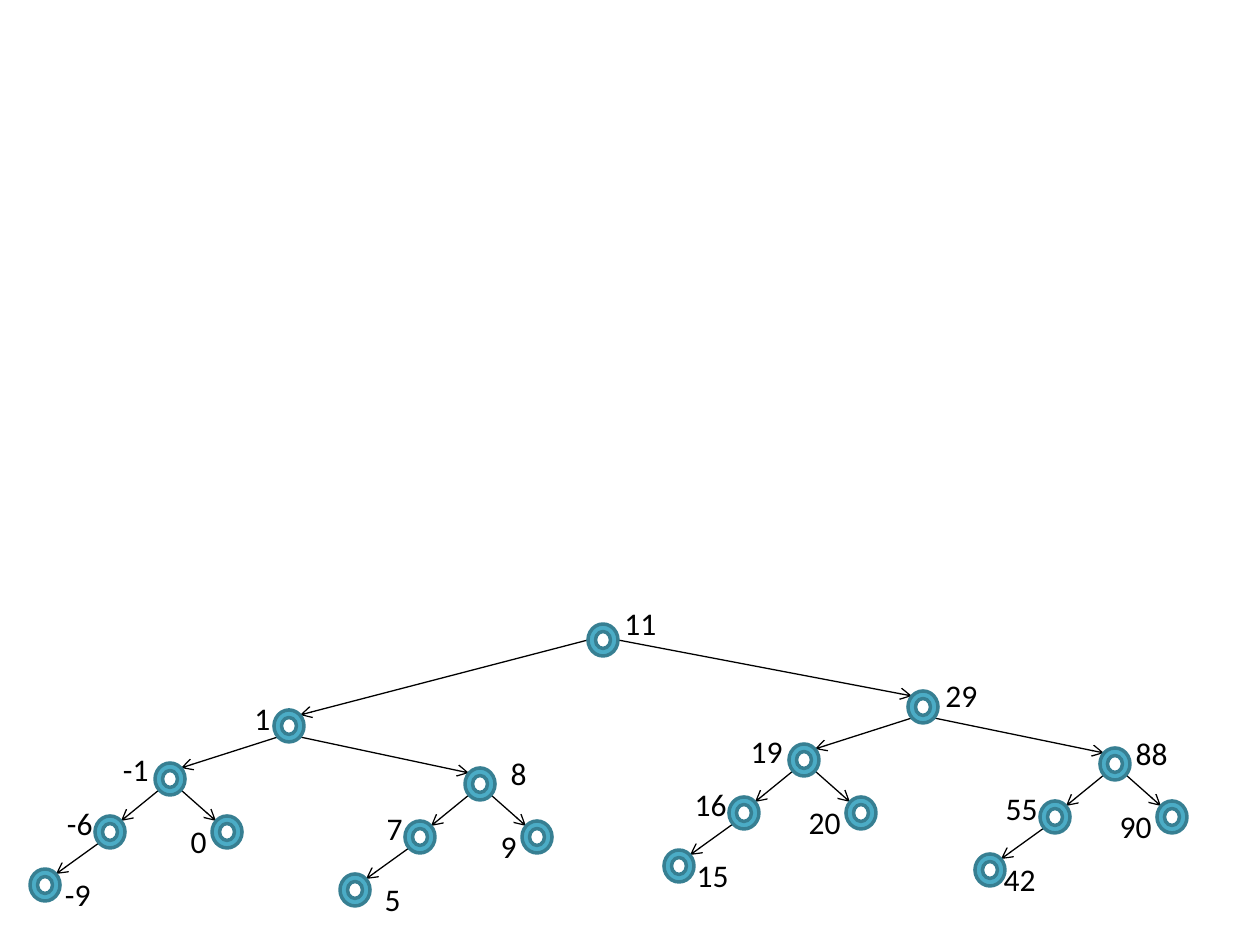
import pptx
import pptx.util
import pptx.dml.color
import pptx.enum.shapes
import pptx.enum.text
import pptx.oxml
import pptx.oxml.ns

PIXEL = 914400 // 126
NODE_W, NODE_H = 30, 32
LABEL_H = 50
RIM = 11  # diagonal attachment point on a node's rim
LEFT = pptx.enum.text.PP_ALIGN.LEFT
RIGHT = pptx.enum.text.PP_ALIGN.RIGHT

# Centre of each subtree's top node, its label's right edge and top relative
# to that centre, then the values: top, left, right, left of left.
SUBTREES = [
    ((170, 779), (-9, -35), ("-1", "-6", "0", "-9")),
    ((480, 784), (59, -36), ("8", "7", "9", "5")),
    ((804, 760), (-9, -34), ("19", "16", "20", "15")),
    ((1115, 764), (65, -36), ("88", "55", "90", "42")),
]


def px(length):
    """Turn picture pixels into EMU."""
    return pptx.util.Emu(length * PIXEL)


def color(hex_value):
    """Turn a hex string into a colour."""
    return pptx.dml.color.RGBColor.from_string(hex_value)


def add_node(shapes, center, value, label_offset, align=RIGHT):
    """Draw a ring and the label with its value."""
    x, y = center
    ring = shapes.add_shape(
        pptx.enum.shapes.MSO_SHAPE.DONUT,
        px(x - NODE_W // 2), px(y - NODE_H // 2), px(NODE_W), px(NODE_H))
    ring.shadow.inherit = False
    ring.fill.solid()
    ring.fill.fore_color.rgb = color("4BACC6")
    ring.line.color.rgb = color("377F92")
    ring.line.width = pptx.util.Pt(2)

    width = 52 if value.startswith("-") else 26 + 16 * len(value)
    right, top = label_offset
    label = shapes.add_textbox(
        px(x + right - width), px(y + top), px(width), px(LABEL_H))
    frame = label.text_frame
    frame.word_wrap = False
    frame.auto_size = pptx.enum.text.MSO_AUTO_SIZE.SHAPE_TO_FIT_TEXT
    paragraph = frame.paragraphs[0]
    paragraph.text = value
    paragraph.alignment = align
    paragraph.font.name = "Calibri"
    paragraph.font.size = pptx.util.Pt(18)
    paragraph.font.color.rgb = color("000000")


def add_edge(shapes, parent, child, start=(RIM, RIM)):
    """Draw an arrow from the parent's rim to the child's rim."""
    side = 1 if child[0] > parent[0] else -1
    edge = shapes.add_connector(
        pptx.enum.shapes.MSO_CONNECTOR.STRAIGHT,
        px(parent[0] + side * start[0]), px(parent[1] + start[1]),
        px(child[0] - side * RIM), px(child[1] - RIM))
    edge.line.color.rgb = color("000000")
    edge.line.width = pptx.util.Pt(0.75)
    arrowhead = pptx.oxml.parse_xml(
        '<a:tailEnd %s type="arrow"/>' % pptx.oxml.ns.nsdecls("a"))
    edge.line._get_or_add_ln().append(arrowhead)
    no_effects = pptx.oxml.parse_xml(
        "<a:effectLst %s/>" % pptx.oxml.ns.nsdecls("a"))
    edge._element.spPr.append(no_effects)


def add_subtree(shapes, top, label_offset, values):
    """Draw a top node, its two children and the left grandchild."""
    x, y = top
    left, right, leaf = (x - 60, y + 53), (x + 57, y + 53), (x - 125, y + 106)
    for parent, child in ((top, left), (top, right), (left, leaf)):
        add_edge(shapes, parent, child)
    leaf_label = (62 if values[3] == "15" else 58, -16)
    offsets = (label_offset, (-5, -34), (-8, -16), leaf_label)
    for center, value, offset in zip((top, left, right, leaf), values, offsets):
        add_node(shapes, center, value, offset)


def main():
    """Build the search tree slide."""
    deck = pptx.Presentation()
    deck.slide_width = pptx.util.Inches(10)
    deck.slide_height = pptx.util.Inches(7.5)
    slide = deck.slides.add_slide(deck.slide_layouts[6])
    tree = slide.shapes.add_group_shape().shapes

    root, low, high = (603, 640), (289, 726), (923, 707)
    for half, subtrees in ((low, SUBTREES[:2]), (high, SUBTREES[2:])):
        add_edge(tree, root, half, start=(NODE_W // 2, 0))
        for top, label_offset, values in subtrees:
            add_edge(tree, half, top)
            add_subtree(tree, top, label_offset, values)
    add_node(tree, root, "11", (67, -42), LEFT)
    add_node(tree, low, "1", (-5, -33), LEFT)
    add_node(tree, high, "29", (68, -37), LEFT)

    deck.save("out.pptx")


main()
